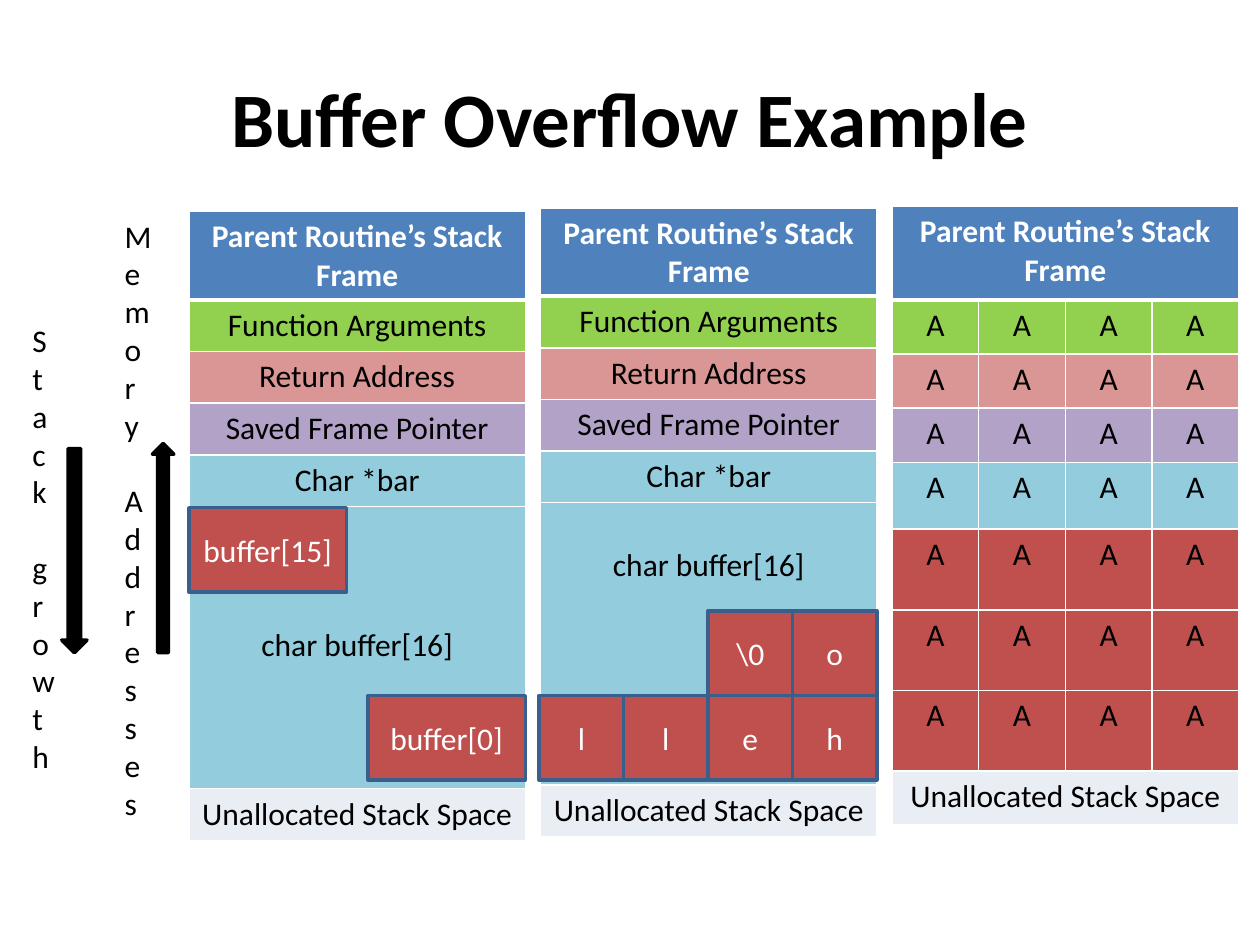
"""Build the buffer overflow slide with three stack diagrams."""
from dataclasses import dataclass

from lxml import etree
from pptx import Presentation
from pptx import util as u
from pptx.dml.color import RGBColor
from pptx.enum import shapes, text
from pptx.oxml.ns import qn


@dataclass(frozen=True)
class Theme:
    font: str = "Calibri"
    title_size: int = 44
    body_size: int = 18
    black: str = "000000"
    white: str = "FFFFFF"
    parent: str = "4F81BD"
    arguments: str = "92D050"
    return_address: str = "D99694"
    frame_pointer: str = "B3A2C7"
    local: str = "93CDDD"
    written: str = "C0504D"
    written_edge: str = "3A5F8C"
    unallocated: str = "E9EDF4"


@dataclass(frozen=True)
class Box:
    left: float
    top: float
    width: float
    height: float

    def lengths(self) -> list:
        return [u.Inches(v) for v in (self.left, self.top, self.width, self.height)]


@dataclass(frozen=True)
class Region:
    label: str
    fill: str
    height: float
    lead: float = 0.05
    split: bool = False


@dataclass(frozen=True)
class Stack:
    left: float
    top: float
    width: float
    columns: int
    regions: list


@dataclass(frozen=True)
class Block:
    label: str
    box: Box


@dataclass(frozen=True)
class Arrow:
    box: Box
    rotation: int


@dataclass(frozen=True)
class Caption:
    words: tuple
    box: Box


THEME = Theme()
LINE_PITCH = 21.6
HEADER = "Parent Routine’s Stack Frame"
UNUSED = "Unallocated Stack Space"


def apply(target, values: dict) -> None:
    for name, value in values.items():
        setattr(target, name, value)


def write(paragraph, words: str, color: str, size: int = THEME.body_size,
          bold: bool = False, align=text.PP_ALIGN.CENTER) -> None:
    paragraph.alignment = align
    run = paragraph.add_run()
    run.text = words
    apply(run.font, {"name": THEME.font, "size": u.Pt(size), "bold": bold})
    run.font.color.rgb = RGBColor.from_string(color)


def paint(shape, fill: str, edge: str) -> None:
    shape.shadow.inherit = False
    shape.fill.solid()
    shape.fill.fore_color.rgb = RGBColor.from_string(fill)
    shape.line.color.rgb = RGBColor.from_string(edge)
    shape.line.width = u.Pt(2)


def border(cell, bottom: int) -> None:
    properties = cell._tc.get_or_add_tcPr()
    for index, (side, points) in enumerate((("L", 1), ("R", 1), ("T", 1), ("B", bottom))):
        edge = etree.Element(qn(f"a:ln{side}"), w=str(u.Pt(points)))
        solid = etree.SubElement(edge, qn("a:solidFill"))
        etree.SubElement(solid, qn("a:srgbClr"), val=THEME.white)
        properties.insert(index, edge)


def draw_title(slide, words: str, box: Box) -> None:
    frame = slide.shapes.add_textbox(*box.lengths()).text_frame
    apply(frame, {"word_wrap": True, "vertical_anchor": text.MSO_ANCHOR.MIDDLE})
    write(frame.paragraphs[0], words, THEME.black, THEME.title_size, True)


def draw_stack(slide, stack: Stack) -> None:
    total = sum(region.height for region in stack.regions)
    box = Box(stack.left, stack.top, stack.width, total)
    table = slide.shapes.add_table(len(stack.regions), stack.columns, *box.lengths()).table
    for column in table.columns:
        column.width = u.Inches(stack.width / stack.columns)
    for row, region in enumerate(stack.regions):
        table.rows[row].height = u.Inches(region.height)
        header = row == 0
        for column in range(stack.columns):
            cell = table.cell(row, column)
            cell.fill.solid()
            cell.fill.fore_color.rgb = RGBColor.from_string(region.fill)
            cell.margin_top = u.Inches(region.lead)
            border(cell, 3 if header else 1)
            if column == 0 or region.split:
                write(cell.text_frame.paragraphs[0], region.label,
                      THEME.white if header else THEME.black, bold=header)
        if stack.columns > 1 and not region.split:
            table.cell(row, 0).merge(table.cell(row, stack.columns - 1))


def draw_block(slide, block: Block) -> None:
    shape = slide.shapes.add_shape(shapes.MSO_SHAPE.RECTANGLE, *block.box.lengths())
    paint(shape, THEME.written, THEME.written_edge)
    frame = shape.text_frame
    apply(frame, {"word_wrap": True, "vertical_anchor": text.MSO_ANCHOR.MIDDLE})
    write(frame.paragraphs[0], block.label, THEME.white)


def draw_arrow(slide, arrow: Arrow) -> None:
    shape = slide.shapes.add_shape(shapes.MSO_SHAPE.UP_ARROW, *arrow.box.lengths())
    shape.rotation = arrow.rotation
    paint(shape, THEME.black, THEME.black)


def draw_caption(slide, caption: Caption) -> None:
    frame = slide.shapes.add_textbox(*caption.box.lengths()).text_frame
    apply(frame, {"word_wrap": True, "auto_size": text.MSO_AUTO_SIZE.SHAPE_TO_FIT_TEXT})
    for index, word in enumerate(caption.words):
        paragraph = frame.add_paragraph() if index else frame.paragraphs[0]
        paragraph.space_before = u.Pt(LINE_PITCH if index else 0)
        write(paragraph, word, THEME.black, align=text.PP_ALIGN.LEFT)


def intact_regions(buffer_lead: float) -> list:
    slots = (("Function Arguments", THEME.arguments), ("Return Address", THEME.return_address),
             ("Saved Frame Pointer", THEME.frame_pointer), ("Char *bar", THEME.local))
    return [Region(HEADER, THEME.parent, 0.7),
            *(Region(label, fill, 0.41) for label, fill in slots),
            Region("char buffer[16]", THEME.local, 2.24, buffer_lead),
            Region(UNUSED, THEME.unallocated, 0.41)]


def overflowed_regions() -> list:
    slots = [(THEME.arguments, 0.43), (THEME.return_address, 0.43),
             (THEME.frame_pointer, 0.43), (THEME.local, 0.53)] + [(THEME.written, 0.64)] * 3
    return [Region(HEADER, THEME.parent, 0.74),
            *(Region("A", fill, height, split=True) for fill, height in slots),
            Region(UNUSED, THEME.unallocated, 0.43)]


def buffer_blocks() -> list:
    side, left, bottom = 0.67, 4.28, 5.52
    blocks = [Block("buffer[15]", Box(1.5, 4.03, 1.25, side)),
              Block("buffer[0]", Box(2.92, bottom, 1.25, side))]
    for level, letters in enumerate((("l", "l", "e", "h"), (None, None, "\\0", "o"))):
        blocks += [Block(letter, Box(left + side * column, bottom - side * level, side, side))
                   for column, letter in enumerate(letters) if letter]
    return blocks


def main() -> None:
    deck = Presentation()
    apply(deck, {"slide_width": u.Inches(10), "slide_height": u.Inches(7.5)})
    slide = deck.slides.add_slide(deck.slide_layouts[6])
    draw_title(slide, "Buffer Overflow Example", Box(0.5, 0.3, 9, 1.25))
    for stack in (Stack(1.5, 1.68, 2.67, 1, intact_regions(0.95)),
                  Stack(4.29, 1.65, 2.67, 1, intact_regions(0.35)),
                  Stack(7.08, 1.64, 2.75, 4, overflowed_regions())):
        draw_stack(slide, stack)
    for block in buffer_blocks():
        draw_block(slide, block)
    for arrow in (Arrow(Box(1.21, 3.52, 0.17, 1.66), 0), Arrow(Box(0.49, 3.56, 0.2, 1.62), 180)):
        draw_arrow(slide, arrow)
    for caption in (Caption(("Stack", "growth"), Box(0.16, 2.5, 0.33, 3.74)),
                    Caption(("Memory", "Addresses"), Box(0.89, 1.67, 0.33, 4.95))):
        draw_caption(slide, caption)
    deck.save("out.pptx")


if __name__ == "__main__":
    main()
